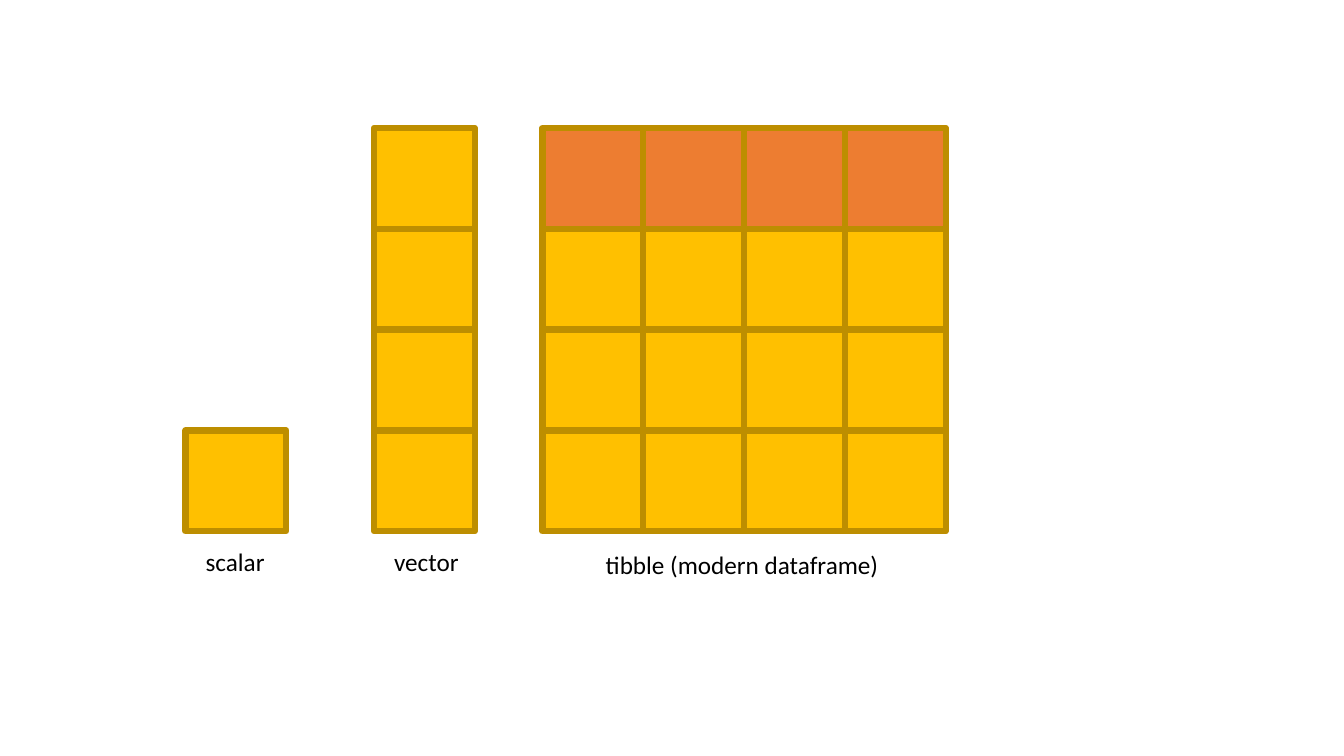
from dataclasses import dataclass

from pptx import Presentation
from pptx.dml.color import RGBColor
from pptx.enum.shapes import MSO_SHAPE
from pptx.enum.text import MSO_AUTO_SIZE
from pptx.slide import Slide
from pptx.util import Emu, Pt

RECT = MSO_SHAPE.RECTANGLE
GROW = MSO_AUTO_SIZE.SHAPE_TO_FIT_TEXT

SCALE = 9144  # EMU per px, 100 px to the inch
CELL = 100
FLOOR = 527  # bottom edge shared by all grids
GOLD, ORANGE, EDGE, BLACK = "FFC000", "ED7D31", "BD8E00", "000000"


@dataclass
class Label:
    text: str
    left: int
    top: int
    width: int
    height: int = 40


@dataclass
class Grid:
    left: int
    cols: int
    rows: int
    label: Label
    header: bool = False


GRIDS = [
    Grid(184, 1, 1, Label("scalar", 194, 537, 79)),
    Grid(371, 1, 4, Label("vector", 381, 537, 85)),
    Grid(538, 4, 4, Label("tibble (modern dataframe)", 591, 540, 294), header=True),
]


def px(size: int) -> Emu:
    return Emu(size * SCALE)


def color(code: str) -> RGBColor:
    return RGBColor.from_string(code)


def draw_cell(slide: Slide, left: int, top: int, fill: str) -> None:
    cell = slide.shapes.add_shape(RECT, px(left), px(top), px(CELL), px(CELL))
    cell.shadow.inherit = False
    cell.fill.solid()
    cell.fill.fore_color.rgb = color(fill)
    cell.line.color.rgb = color(EDGE)
    cell.line.width = Pt(4.5)


def draw_label(slide: Slide, label: Label) -> None:
    box = slide.shapes.add_textbox(
        px(label.left), px(label.top), px(label.width), px(label.height)
    )
    frame = box.text_frame
    frame.word_wrap = False
    frame.auto_size = GROW
    run = frame.paragraphs[0].add_run()
    run.text = label.text
    for name, value in {"name": "Calibri", "size": Pt(18)}.items():
        setattr(run.font, name, value)
    run.font.color.rgb = color(BLACK)


def draw_grid(slide: Slide, grid: Grid) -> None:
    # Columns run left to right, each stacked from the floor up
    for col in range(grid.cols):
        for row in range(1, grid.rows + 1):
            head = grid.header and row == grid.rows
            draw_cell(
                slide,
                grid.left + col * CELL,
                FLOOR - row * CELL,
                ORANGE if head else GOLD,
            )
    draw_label(slide, grid.label)


def main() -> None:
    deck = Presentation()
    deck.slide_width, deck.slide_height = px(1333), px(750)
    slide = deck.slides.add_slide(deck.slide_layouts[6])
    for grid in GRIDS:
        draw_grid(slide, grid)
    deck.save("out.pptx")


if __name__ == "__main__":
    main()
